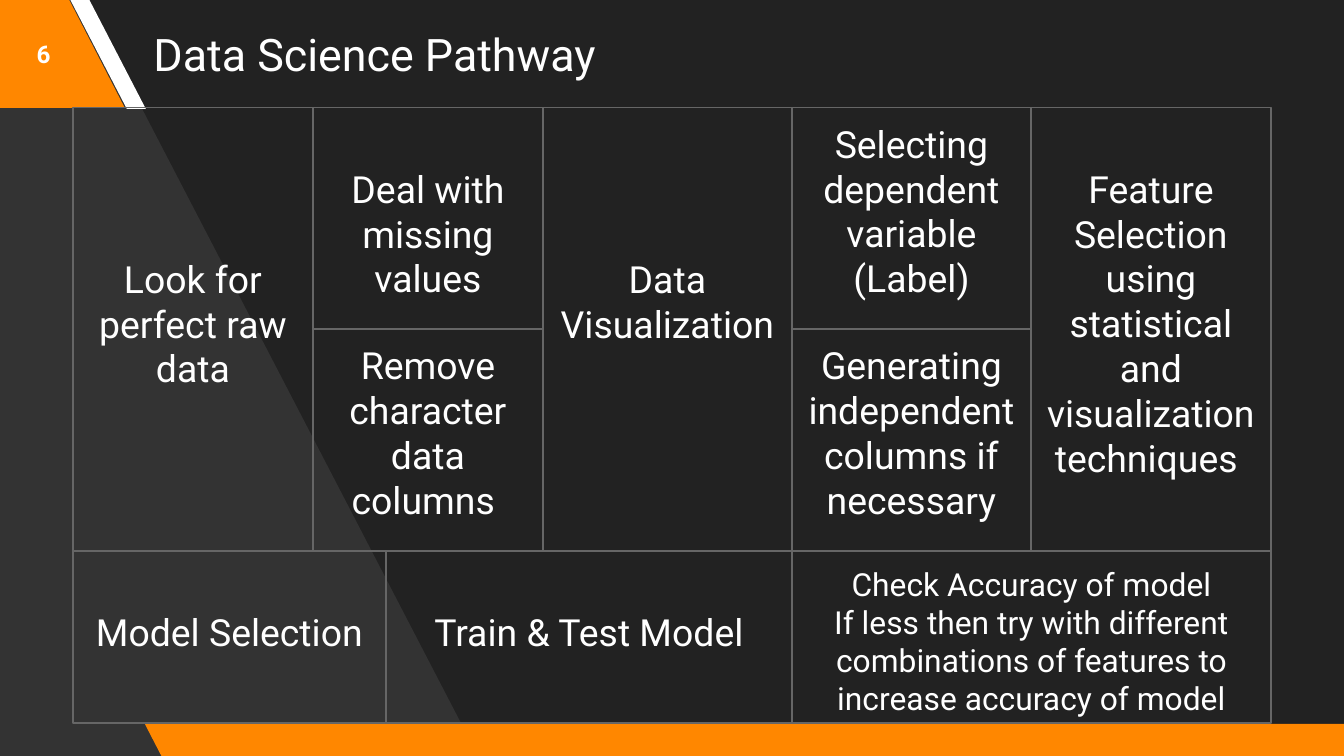
from dataclasses import dataclass

from pptx import Presentation
from pptx import util as u
from pptx.dml.color import RGBColor
from pptx.enum import shapes, text

SCALE = 9144000 / 1344
PAD = 13.44
LINE = 45


@dataclass(frozen=True)
class Theme:
    """Colours, font and type sizes of the slide."""
    back: str = "222222"
    shade: str = "333333"
    accent: str = "FF8700"
    light: str = "FFFFFF"
    rule: str = "666666"
    font: str = "Roboto"
    title: int = 24
    body: int = 20
    small: int = 17
    number: int = 13


THEME = Theme()

COLS = [73, 313, 543, 792, 1031, 1271]
ROWS = [107.5, 329, 551, 723]
SPLIT = 386  # edge between the first two boxes of the bottom row

# left, top, right, bottom, lines of space above the text, text
STEPS = [
    (COLS[1], ROWS[0], COLS[2], ROWS[1], 1, "Deal with missing values"),
    (COLS[1], ROWS[1], COLS[2], ROWS[2], 0, "Remove character data columns "),
    (COLS[2], ROWS[0], COLS[3], ROWS[2], 3, "Data Visualization"),
    (COLS[3], ROWS[0], COLS[4], ROWS[1], 0,
     "Selecting dependent variable (Label)"),
    (COLS[3], ROWS[1], COLS[4], ROWS[2], 0,
     "Generating independent columns if necessary"),
    (COLS[4], ROWS[0], COLS[5], ROWS[2], 1,
     "Feature Selection using statistical and visualization techniques "),
    (COLS[0], ROWS[0], COLS[1], ROWS[2], 3, "Look for perfect raw data"),
    (COLS[0], ROWS[2], SPLIT, ROWS[3], 1, "Model Selection"),
    (SPLIT, ROWS[2], COLS[3], ROWS[3], 1, "Train & Test Model"),
]
CHECK = ("Check Accuracy of model\n"
         "If less then try with different combinations of features "
         "to increase accuracy of model")


def px(*sizes):
    """Turn picture pixels into EMU."""
    return [u.Emu(round(size * SCALE)) for size in sizes]


def rgb(code):
    """Turn a hex code into a colour."""
    return RGBColor.from_string(code)


def write(shape, words, size=THEME.body, bold=False, top=PAD,
          align=text.PP_ALIGN.CENTER, anchor=text.MSO_ANCHOR.TOP):
    """Put formatted text into a shape, one paragraph a line."""
    frame = shape.text_frame
    frame.word_wrap = True
    frame.auto_size = text.MSO_AUTO_SIZE.NONE
    frame.vertical_anchor = anchor
    frame.margin_left, frame.margin_top = px(PAD, top)
    frame.margin_right, frame.margin_bottom = px(PAD, PAD)
    frame.text = words
    for para in frame.paragraphs:
        para.alignment = align
        font = para.runs[0].font
        font.name, font.size, font.bold = THEME.font, u.Pt(size), bold
        font.color.rgb = rgb(THEME.light)


def paint(shape, fill):
    """Give a shape a plain fill with no line or shadow."""
    shape.shadow.inherit = False
    shape.fill.solid()
    shape.fill.fore_color.rgb = rgb(fill)
    shape.line.fill.background()


def wedge(slide, points, fill):
    """Draw a filled polygon."""
    first, *rest = points
    form = slide.shapes.build_freeform(*first, scale=SCALE)
    form.add_line_segments(rest, close=True)
    paint(form.convert_to_shape(), fill)


def slant(slide, left, top, width, height, fill, skew):
    """Draw a parallelogram that leans to the left."""
    shape = slide.shapes.add_shape(shapes.MSO_SHAPE.PARALLELOGRAM,
                                   *px(left, top, width, height))
    shape.adjustments[0] = skew
    shape._element.spPr.xfrm.set("flipH", "1")
    paint(shape, fill)


def step(slide, left, top, right, bottom, skip, words, **style):
    """Draw an outlined box, its text set down by some lines."""
    box = slide.shapes.add_shape(shapes.MSO_SHAPE.RECTANGLE,
                                 *px(left, top, right - left, bottom - top))
    box.shadow.inherit = False
    box.fill.background()
    box.line.color.rgb = rgb(THEME.rule)
    box.line.width = u.Pt(0.75)
    write(box, words, top=PAD + skip * LINE, **style)


def decor(slide):
    """Draw the backdrop and its slanted bars."""
    slide.background.fill.solid()
    slide.background.fill.fore_color.rgb = rgb(THEME.back)
    wedge(slide, [(478, 756), (83, -5), (-8, -5), (-3, 761)], THEME.shade)
    slant(slide, -133, -2, 258, 110, THEME.accent, 0.515)
    slant(slide, 70, -1, 76, 110, THEME.light, 0.75)
    slant(slide, 145, 724, 1230, 34, THEME.accent, 0.515)


def head(slide):
    """Set the title and the page number."""
    title = slide.shapes.title
    title.left, title.top, title.width, title.height = px(140, 0, 1167, 108)
    write(title, "Data Science Pathway", size=THEME.title,
          align=text.PP_ALIGN.LEFT, anchor=text.MSO_ANCHOR.MIDDLE)
    slide.shapes._spTree.append(title._element)
    page = slide.shapes.add_textbox(*px(0, 0, 87, 108))
    write(page, "6", size=THEME.number, bold=True,
          anchor=text.MSO_ANCHOR.MIDDLE)


def main():
    """Build and save the slide."""
    deck = Presentation()
    deck.slide_width, deck.slide_height = px(1344, 756)
    slide = deck.slides.add_slide(deck.slide_layouts[5])
    decor(slide)
    head(slide)
    for item in STEPS:
        step(slide, *item)
    step(slide, COLS[3], ROWS[2], COLS[5], ROWS[3], 0, CHECK,
         size=THEME.small)
    deck.save("out.pptx")


main()
